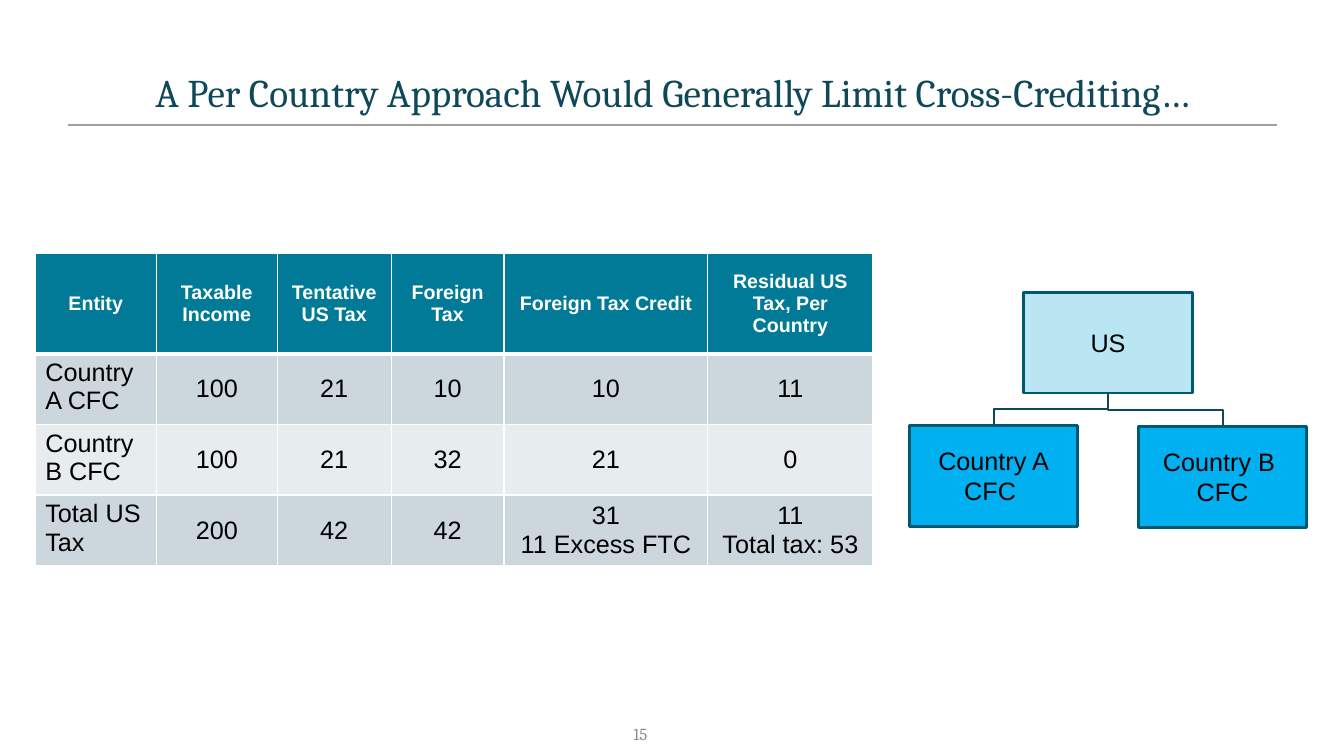
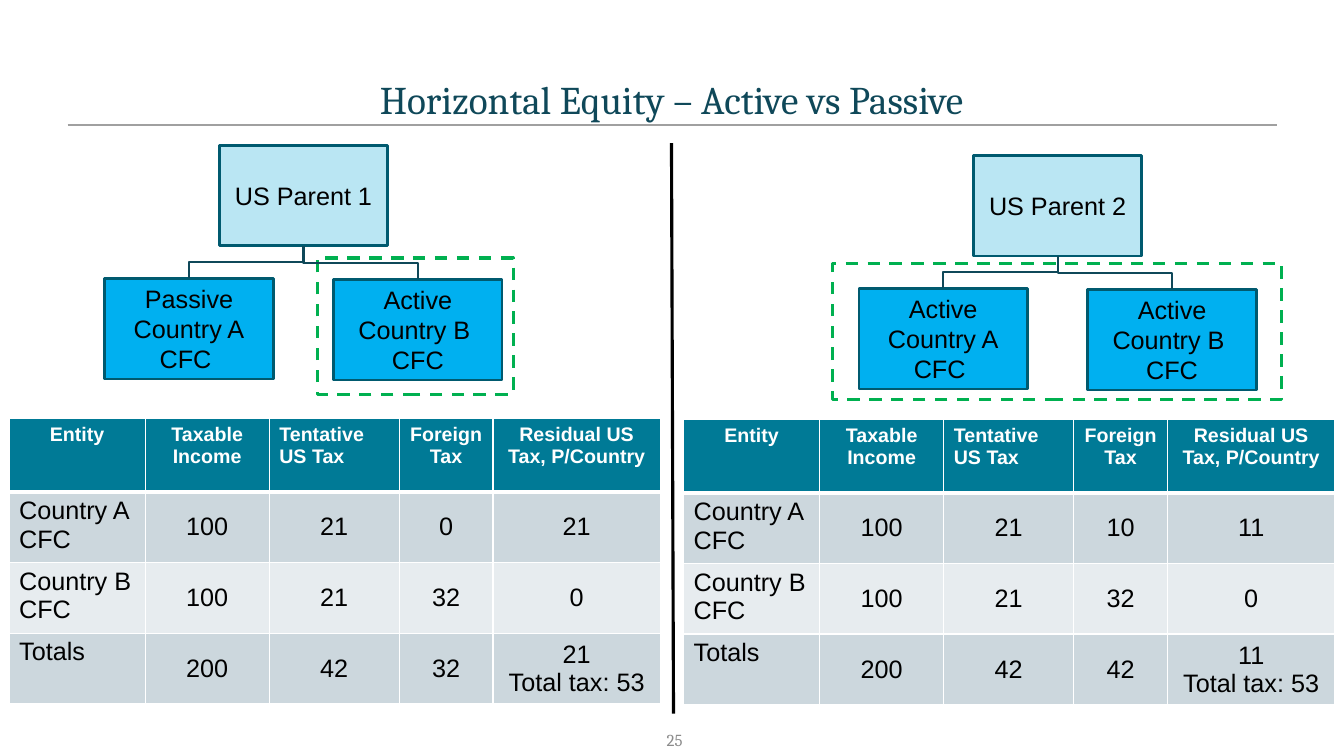
"""Build two slides on per-country limits for the foreign tax credit."""

from dataclasses import dataclass
from typing import NamedTuple

from lxml.etree import SubElement
from pptx import Presentation
from pptx.dml.color import RGBColor
from pptx.enum.dml import MSO_LINE
from pptx.enum.shapes import MSO_CONNECTOR, MSO_SHAPE
from pptx.enum.text import MSO_ANCHOR, PP_ALIGN
from pptx.oxml.ns import qn
from pptx.util import Emu, Inches, Pt

COLUMNS, ROWS = 1333, 750
STEP = Inches(0.01)

INK = RGBColor(0x0F, 0x48, 0x59)
RULE_GREY = RGBColor(0xA0, 0xA0, 0xA0)
NUMBER_GREY = RGBColor(0x8C, 0x8C, 0x8C)
BLACK = RGBColor(0x00, 0x00, 0x00)
WHITE = RGBColor(0xFF, 0xFF, 0xFF)
TEAL = RGBColor(0x00, 0x7A, 0x96)
OUTLINE = RGBColor(0x00, 0x5A, 0x6F)
PARENT_BLUE = RGBColor(0xBA, 0xE6, 0xF3)
CHILD_BLUE = RGBColor(0x00, 0xB0, 0xF0)
GREEN = RGBColor(0x00, 0xB0, 0x50)
BANDS = (RGBColor(0xCC, 0xD7, 0xDD), RGBColor(0xE7, 0xEC, 0xEF))

SERIF, SANS = "Cambria", "Arial"
ENTITY_WIDTH, ENTITY_HEIGHT = 167, 100
BOTTOM_SITE, TOP_SITE = 2, 0


class Area(NamedTuple):
    """A rectangle in grid columns and rows."""

    left: float
    top: float
    width: float
    height: float


@dataclass(frozen=True)
class OrgChart:
    """A parent with two subsidiaries, placed by its top left corner."""

    left: float
    top: float
    parent: str
    first_child: str
    second_child: str


@dataclass(frozen=True)
class TaxTable:
    """A header row and body rows with their measures."""

    left: float
    top: float
    widths: tuple[int, ...]
    heights: tuple[int, ...]
    header: tuple[str, ...]
    body: tuple[tuple[str, ...], ...]
    header_anchor: MSO_ANCHOR = MSO_ANCHOR.TOP
    left_headers: tuple[str, ...] = ()


def grid(*counts: float) -> tuple[Emu, ...]:
    """Turn grid counts into lengths."""
    return tuple(Emu(round(count * STEP)) for count in counts)


def style_text(text_frame, size: int, color: RGBColor, font: str,
               align: PP_ALIGN, bold: bool = False) -> None:
    """Format every paragraph and run of a text frame."""
    for para in text_frame.paragraphs:
        para.alignment = align
        for span in para.runs:
            span.font.size = Pt(size)
            span.font.name = font
            span.font.bold = bold
            span.font.color.rgb = color


def style_line(line, color: RGBColor, width: float) -> None:
    """Set the colour and width of a line."""
    line.color.rgb = color
    line.width = Pt(width)


def add_line(page, kind: MSO_CONNECTOR, ends: tuple[float, ...],
             color: RGBColor, width: float):
    """Draw a connector without a shadow."""
    connector = page.shapes.add_connector(kind, *grid(*ends))
    style_line(connector.line, color, width)
    SubElement(connector.element.spPr, qn("a:effectLst"))
    return connector


def add_box(page, area: Area, fill: RGBColor, color: RGBColor, width: float,
            text: str = ""):
    """Draw a rectangle with optional centred text."""
    box = page.shapes.add_shape(MSO_SHAPE.RECTANGLE, *grid(*area))
    box.shadow.inherit = False
    box.fill.solid()
    box.fill.fore_color.rgb = fill
    style_line(box.line, color, width)
    if text:
        box.text_frame.text = text
        box.text_frame.vertical_anchor = MSO_ANCHOR.MIDDLE
        style_text(box.text_frame, 18, BLACK, SANS, PP_ALIGN.CENTER)
    return box


def add_dashed_frame(page, area: Area) -> None:
    """Draw a dashed green frame around active subsidiaries."""
    frame = add_box(page, area, WHITE, GREEN, 2.25)
    frame.line.dash_style = MSO_LINE.DASH


def add_branch(page, parent, child) -> None:
    """Join the parent's foot to the child's head with an elbow."""
    start_x, start_y = parent.left + parent.width // 2, parent.top + parent.height
    end_x, end_y = child.left + child.width // 2, child.top
    branch = add_line(page, MSO_CONNECTOR.ELBOW, (0, 0, 1, 1), INK, 1.5)
    branch.begin_connect(parent, BOTTOM_SITE)
    branch.end_connect(child, TOP_SITE)
    length, spread = end_y - start_y, abs(end_x - start_x)
    branch.left = Emu((start_x + end_x - length) // 2)
    branch.top = Emu((start_y + end_y - spread) // 2)
    branch.width, branch.height = Emu(length), Emu(spread)
    goes_right = end_x > start_x
    transform = branch.element.spPr.find(qn("a:xfrm"))
    transform.set("rot", str((270 if goes_right else 90) * 60000))
    transform.set("flipH", "1" if goes_right else "0")


def add_org_chart(page, chart: OrgChart) -> None:
    """Draw a parent, its two subsidiaries and the branches."""
    entities = (
        (113.5, 0, PARENT_BLUE, chart.parent),
        (0, 132, CHILD_BLUE, chart.first_child),
        (227, 133, CHILD_BLUE, chart.second_child),
    )
    parent, *children = [
        add_box(page, Area(chart.left + across, chart.top + down,
                           ENTITY_WIDTH, ENTITY_HEIGHT), fill, OUTLINE, 2, text)
        for across, down, fill, text in entities
    ]
    for child in children:
        add_branch(page, parent, child)


def set_borders(cell, top: float, bottom: float) -> None:
    """Give a cell white borders."""
    properties = cell._tc.get_or_add_tcPr()
    for side, width in (("L", 1), ("R", 1), ("T", top), ("B", bottom)):
        border = SubElement(properties, qn(f"a:ln{side}"), w=str(Pt(width)))
        fill = SubElement(border, qn("a:solidFill"))
        SubElement(fill, qn("a:srgbClr"), val=str(WHITE))


def fill_cell(cell, spec: TaxTable, row: int, column: int, text: str) -> None:
    """Write and format one table cell."""
    is_header, is_label = row == 0, row > 0 and column == 0
    set_borders(cell, 3 if row == 1 else 1, 3 if is_header else 1)
    cell.fill.solid()
    cell.fill.fore_color.rgb = TEAL if is_header else BANDS[(row - 1) % 2]
    cell.text_frame.text = text
    if is_header:
        cell.vertical_anchor = spec.header_anchor
    else:
        cell.vertical_anchor = MSO_ANCHOR.TOP if is_label else MSO_ANCHOR.MIDDLE
    starts_left = is_label or text in spec.left_headers
    style_text(cell.text_frame, 14 if is_header else 18,
               WHITE if is_header else BLACK, SANS,
               PP_ALIGN.LEFT if starts_left else PP_ALIGN.CENTER, is_header)


def add_tax_table(page, spec: TaxTable) -> None:
    """Draw a tax table."""
    lines = (spec.header, *spec.body)
    area = Area(spec.left, spec.top, sum(spec.widths), sum(spec.heights))
    table = page.shapes.add_table(len(lines), len(spec.widths), *grid(*area)).table
    for column, width in zip(table.columns, grid(*spec.widths)):
        column.width = width
    for row, height in zip(table.rows, grid(*spec.heights)):
        row.height = height
    for row, texts in enumerate(lines):
        for column, text in enumerate(texts):
            fill_cell(table.cell(row, column), spec, row, column, text)


def add_page(deck, title: str, title_at: tuple[int, int], number: str,
             number_at: tuple[int, int]):
    """Add a slide with its title and page number."""
    page = deck.slides.add_slide(deck.slide_layouts[5])
    heading = page.shapes.title
    heading.left, heading.top, heading.width, heading.height = grid(*title_at, 1200, 67)
    heading.text_frame.text = title
    heading.text_frame.vertical_anchor = MSO_ANCHOR.MIDDLE
    style_text(heading.text_frame, 28, INK, SERIF, PP_ALIGN.CENTER)
    box = page.shapes.add_textbox(*grid(*number_at, 58, 17))
    box.text_frame.word_wrap = True
    box.text_frame.margin_right = 0
    box.text_frame.vertical_anchor = MSO_ANCHOR.MIDDLE
    box.text_frame.text = number
    style_text(box.text_frame, 12, NUMBER_GREY, SERIF, PP_ALIGN.RIGHT)
    return page


def add_per_country_page(deck):
    """Build the slide on cross-crediting."""
    page = add_page(deck, "A Per Country Approach Would Generally Limit Cross-Crediting…",
                    (67, 58), "15", (584, 720))
    add_tax_table(page, TaxTable(
        35, 251, (120, 120, 113, 112, 202, 164), (100, 64, 68, 68),
        ("Entity", "Taxable Income", "Tentative US Tax", "Foreign Tax",
         "Foreign Tax Credit", "Residual US Tax, Per Country"),
        (("Country A CFC", "100", "21", "10", "10", "11"),
         ("Country B CFC", "100", "21", "32", "21", "0"),
         ("Total US Tax", "200", "42", "42", "31\n11 Excess FTC",
          "11\nTotal tax: 53")),
        header_anchor=MSO_ANCHOR.MIDDLE))
    add_org_chart(page, OrgChart(902, 290, "US", "Country A\nCFC ", "Country B \nCFC"))
    return page


def add_equity_page(deck) -> None:
    """Build the slide comparing active and passive groups."""
    page = add_page(deck, "Horizontal Equity – Active vs Passive",
                    (66, 65), "25", (619, 725))
    add_line(page, MSO_CONNECTOR.STRAIGHT, (666, 142, 668, 708), BLACK, 2.25)
    for area in (Area(315, 256, 194, 135), Area(826, 261, 445, 135)):
        add_dashed_frame(page, area)
    for chart in (
        OrgChart(104, 144, "US Parent 1", "Passive Country A\nCFC ",
                 "Active Country B \nCFC"),
        OrgChart(852, 154, "US Parent 2", "Active Country A\nCFC ",
                 "Active Country B \nCFC"),
    ):
        add_org_chart(page, chart)
    for left, top, first_tax, total_tax, residual in (
        (9, 415, "0", "32", "21"),
        (678, 416, "10", "42", "11"),
    ):
        add_tax_table(page, TaxTable(
            left, top, (135, 123, 129, 93, 166), (73, 64, 68, 68),
            ("Entity", "Taxable Income", "Tentative US Tax", "Foreign Tax",
             "Residual US Tax, P/Country"),
            (("Country A CFC", "100", "21", first_tax, residual),
             ("Country B CFC", "100", "21", "32", "0"),
             ("Totals", "200", "42", total_tax, f"{residual}\nTotal tax: 53")),
            left_headers=("Tentative US Tax",)))


def main() -> None:
    """Build and save the deck."""
    deck = Presentation()
    deck.slide_width, deck.slide_height = grid(COLUMNS, ROWS)
    page = add_per_country_page(deck)
    rule = add_line(page, MSO_CONNECTOR.STRAIGHT, (67, 124, 1267, 124), RULE_GREY, 1)
    page.slide_layout.shapes.element.append(rule.element)
    add_equity_page(deck)
    deck.save("out.pptx")


if __name__ == "__main__":
    main()
